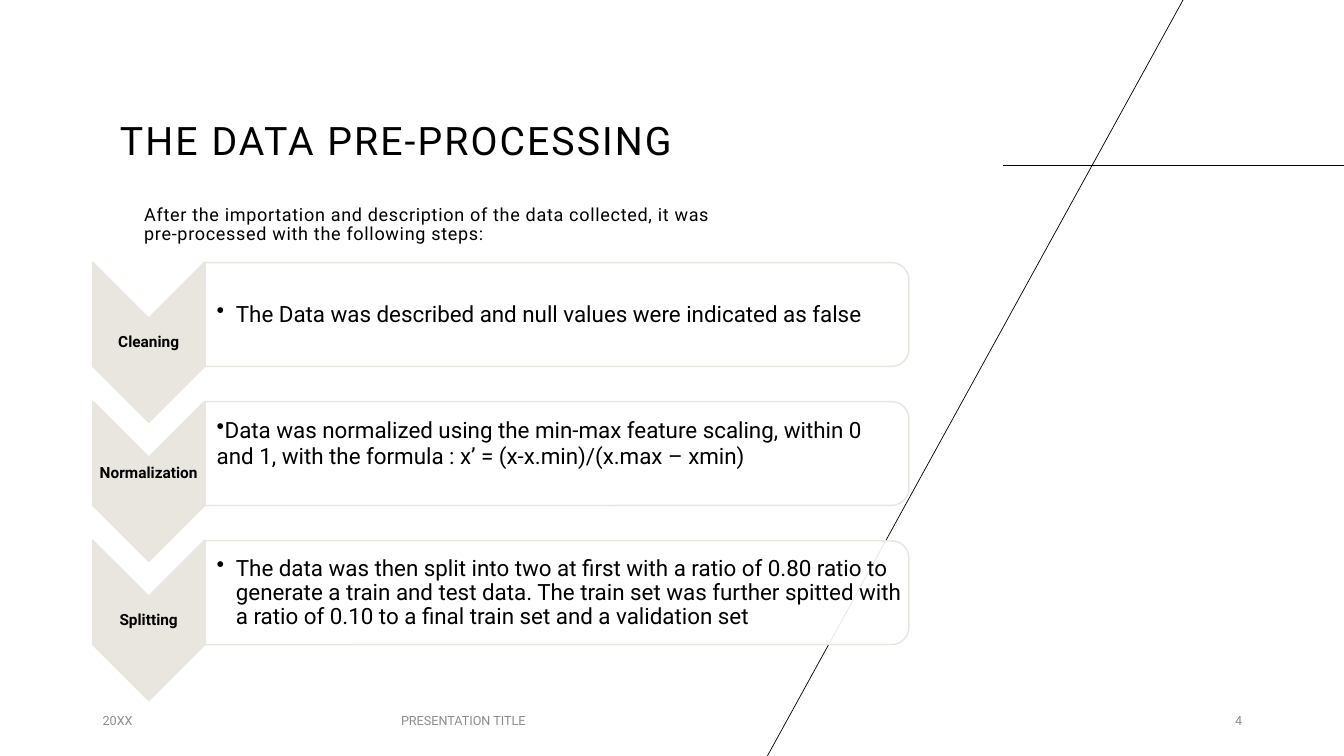
from lxml import etree
from pptx import Presentation
from pptx.dml.color import RGBColor
from pptx.enum.shapes import MSO_CONNECTOR, MSO_SHAPE
from pptx.enum.text import MSO_ANCHOR, MSO_AUTO_SIZE, PP_ALIGN
from pptx.oxml.ns import qn
from pptx.util import Inches, Pt

STRAIGHT = MSO_CONNECTOR.STRAIGHT
CHEVRON, ROUND_TOP = MSO_SHAPE.CHEVRON, MSO_SHAPE.ROUND_2_SAME_RECTANGLE
LEFT, CENTER, RIGHT = PP_ALIGN.LEFT, PP_ALIGN.CENTER, PP_ALIGN.RIGHT
MIDDLE, BOTTOM, TOP = MSO_ANCHOR.MIDDLE, MSO_ANCHOR.BOTTOM, MSO_ANCHOR.TOP

FONT = "Roboto"
BLACK, GREY, BEIGE, WHITE = "000000", "8C8C8C", "E9E6DF", "FFFFFF"
STEP_TOP, STEP_PITCH = 2.66, 1.38

# label, text, line spacing, hanging indent, extra bottom inset of label and text
STEPS = [
    ("Cleaning",
     "The Data was described and null values were indicated as false",
     0.9, 0.19, 0, 0),
    ("Normalization",
     "Data was normalized using the min-max feature scaling, within 0 and 1, "
     "with the formula : x’ = (x-x.min)/(x.max – xmin)",
     1.0, 0, 0.16, 0.23),
    ("Splitting",
     "The data was then split into two at first with a ratio of 0.80 ratio to "
     "generate a train and test data. The train set was further spitted with a "
     "ratio of 0.10 to a final train set and a validation set",
     0.9, 0.19, 0, 0),
]


def color(hex_string):
    return RGBColor.from_string(hex_string)


def place(sp, left, top, width, height):
    sp.left, sp.top = Inches(left), Inches(top)
    sp.width, sp.height = Inches(width), Inches(height)


def write(sp, text, size, fill=BLACK, align=LEFT, anchor=MIDDLE, spacing=1.0,
          bold=False, tracking=0):
    """Put one formatted paragraph into a shape and return it."""
    tf = sp.text_frame
    tf.word_wrap = True
    tf.auto_size = MSO_AUTO_SIZE.NONE
    tf.vertical_anchor = anchor
    p = tf.paragraphs[0]
    r = p.add_run()
    r.text = text
    p.alignment, p.line_spacing = align, spacing
    p.space_before = p.space_after = Pt(0)
    p.font.name, p.font.size, p.font.bold = FONT, Pt(size), bold
    p.font.color.rgb = color(fill)
    if tracking:
        r.font._element.set("spc", str(int(tracking * 100)))
    return p


def set_bullet(p, char=None, hanging=0):
    pPr = p._p.get_or_add_pPr()
    pPr.set("marL", str(Inches(hanging)))
    pPr.set("indent", str(-Inches(hanging)))
    bullet = etree.Element(qn("a:buChar" if char else "a:buNone"))
    if char:
        bullet.set("char", char)
    # Bullets come before the default run properties
    pPr.find(qn("a:defRPr")).addprevious(bullet)


def add_text(slide, box, text, size, insets=None, **style):
    sp = slide.shapes.add_textbox(*map(Inches, box))
    if insets:
        tf = sp.text_frame
        (tf.margin_left, tf.margin_top,
         tf.margin_right, tf.margin_bottom) = map(Inches, insets)
    return write(sp, text, size, **style)


def add_line(slide, x1, y1, x2, y2):
    line = slide.shapes.add_connector(STRAIGHT, *map(Inches, (x1, y1, x2, y2)))
    line.line.color.rgb = color(BLACK)
    line.line.width = Pt(0.5)
    etree.SubElement(line._element.spPr, qn("a:effectLst"))


def add_turned_shape(slide, kind, box, fill, opacity=100):
    sp = slide.shapes.add_shape(kind, *map(Inches, box))
    sp.rotation = 90
    sp.shadow.inherit = False
    sp.fill.solid()
    sp.fill.fore_color.rgb = color(fill)
    sp.line.color.rgb = color(BEIGE)
    sp.line.width = Pt(1)
    if opacity < 100:
        rgb = sp._element.spPr.find(qn("a:solidFill"))[0]
        etree.SubElement(rgb, qn("a:alpha"), val=str(opacity * 1000))


def add_step(slide, top, label, text, spacing, hanging, label_lift, text_lift):
    add_turned_shape(slide, CHEVRON, (0.68, top + 0.18, 1.59, 1.11), BEIGE)
    add_text(slide, (0.92, top + 0.5, 1.11, 0.48), label, 11,
             insets=(0.01, 0.01, 0.01, 0.01 + label_lift),
             align=CENTER, spacing=0.9, bold=True)
    add_turned_shape(slide, ROUND_TOP, (5.01, top - 3.03, 1.03, 6.98), WHITE, 90)
    p = add_text(slide, (2.03, top, 6.93, 0.93), text, 16,
                 insets=(0.12, 0.01, 0.01, 0.01 + text_lift), spacing=spacing)
    set_bullet(p, "•", hanging)


def main():
    prs = Presentation()
    prs.slide_width, prs.slide_height = Inches(13.33), Inches(7.5)
    slide = prs.slides.add_slide(prs.slide_layouts[1])

    # Decorative lines
    add_line(slide, 9.95, 1.64, 13.33, 1.64)
    add_line(slide, 11.75, -0.03, 7.6, 7.52)

    # Title and introduction
    title, body = slide.shapes.title, slide.placeholders[1]
    place(title, 1.09, 1.15, 6.55, 0.53)
    write(title, "THE DATA PRE-PROCESSING", 28, anchor=BOTTOM, spacing=0.9,
          tracking=1.5)
    place(body, 1.33, 1.99, 6.06, 0.52)
    p = write(body, "After the importation and description of the data collected, "
              "it was pre-processed with the following steps:", 12.9,
              anchor=TOP, spacing=0.9, tracking=0.5)
    set_bullet(p)

    # Processing steps
    for i, step in enumerate(STEPS):
        add_step(slide, STEP_TOP + i * STEP_PITCH, *step)

    # Footer
    for left, width, text, align in [(0.92, 1.33, "20XX", LEFT),
                                     (2.69, 3.81, "PRESENTATION TITLE", CENTER),
                                     (9.42, 3, "4", RIGHT)]:
        add_text(slide, (left, 6.95, width, 0.4), text, 9, fill=GREY, align=align)

    prs.save("out.pptx")


if __name__ == "__main__":
    main()
